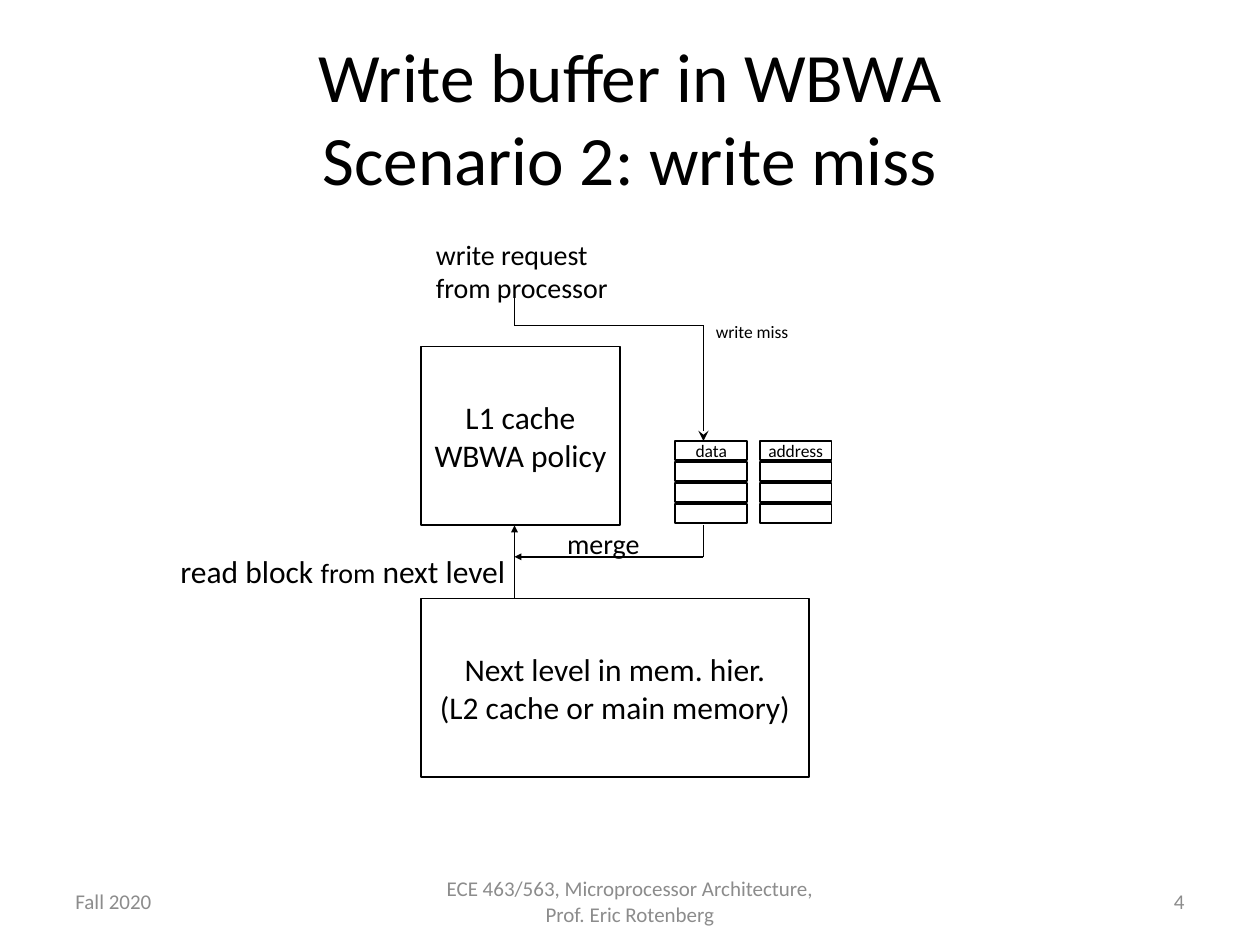
from dataclasses import dataclass

from lxml import etree
from pptx import Presentation
from pptx.dml.color import RGBColor
from pptx.enum.shapes import MSO_CONNECTOR, MSO_SHAPE
from pptx.enum.text import MSO_ANCHOR, PP_ALIGN
from pptx.oxml.ns import qn
from pptx.util import Pt

LEFT, CENTER, RIGHT = PP_ALIGN.LEFT, PP_ALIGN.CENTER, PP_ALIGN.RIGHT
TOP, MIDDLE = MSO_ANCHOR.TOP, MSO_ANCHOR.MIDDLE
RECT, STRAIGHT = MSO_SHAPE.RECTANGLE, MSO_CONNECTOR.STRAIGHT
TITLE_ONLY = 5


@dataclass(frozen=True)
class Theme:
    font: str = "Calibri"
    ink: RGBColor = RGBColor(0, 0, 0)
    paper: RGBColor = RGBColor(255, 255, 255)
    muted: RGBColor = RGBColor(0x8C, 0x8C, 0x8C)
    title: float = 39.6
    block: float = 18
    label: float = 16
    footer: float = 12
    small: float = 10
    line: float = 1


THEME = Theme()


def style(font, size, color=THEME.ink):
    font.name, font.size = THEME.font, Pt(size)
    font.color.rgb = color


def write(sp, lines, size, align=LEFT, anchor=TOP, wrap=False, color=THEME.ink):
    """Fill a shape with one paragraph for each line."""
    tf = sp.text_frame
    tf.word_wrap, tf.vertical_anchor = wrap, anchor
    tf.text = "\n".join(lines)
    for p in tf.paragraphs:
        p.alignment = align
        style(p.font, size, color)


def add_text(s, box, text, size, **options):
    sp = s.shapes.add_textbox(*map(Pt, box))
    write(sp, [text], size, **options)
    return sp


def add_block(s, box, lines=(), size=THEME.block):
    sp = s.shapes.add_shape(RECT, *map(Pt, box))
    sp.shadow.inherit = False
    sp.fill.solid()
    sp.fill.fore_color.rgb = THEME.paper
    sp.line.color.rgb, sp.line.width = THEME.ink, Pt(THEME.line)
    if lines:
        write(sp, lines, size, CENTER, MIDDLE)


def add_path(s, points, head, size):
    """Join the points with straight lines; the last one bears an arrowhead."""
    for start, end in zip(points, points[1:]):
        cx = s.shapes.add_connector(STRAIGHT, *map(Pt, start + end))
        cx.line.color.rgb, cx.line.width = THEME.ink, Pt(THEME.line)
        etree.SubElement(cx._element.spPr, qn("a:effectLst"))
    etree.SubElement(cx.line._get_or_add_ln(), qn("a:tailEnd"),
                     type=head, w=size, len=size)


def add_title(s, box, text):
    sp = s.shapes.title
    sp.left, sp.top, sp.width, sp.height = map(Pt, box)
    write(sp, [text], THEME.title, CENTER, MIDDLE, wrap=True)


def add_footer(s, box, date, course, number):
    x, y, w, h = box
    side, middle = 168, 228
    for left, width, text, align in (
            (x, side, date, LEFT),
            (x + (w - middle) / 2, middle, course, CENTER),
            (x + w - side, side, number, RIGHT)):
        add_text(s, (left, y, width, h), text, THEME.footer, align=align,
                 anchor=MIDDLE, wrap=True, color=THEME.muted)


def add_write_buffer(s, box, headers, rows=4, gap=7.3, row_gap=1.2):
    x, y, w, h = box
    cell_w = (w - gap * (len(headers) - 1)) / len(headers)
    cell_h = (h - row_gap * (rows - 1)) / rows
    for col, header in enumerate(headers):
        for row in range(rows):
            add_block(s, (x + col * (cell_w + gap), y + row * (cell_h + row_gap),
                          cell_w, cell_h), [] if row else [header], THEME.small)


def add_cache_diagram(s, box):
    x, y, w, h = box
    block_x, block_h = x + 144.5, 102.2
    l1_y, next_y = y + 66, y + h - block_h
    l1_bottom = l1_y + block_h
    buffer_y = y + 120
    read_x, buffer_x = x + 198, x + 306
    turn_y, merge_y = y + 54, l1_bottom + 18

    add_block(s, (block_x, l1_y, 113.8, block_h), ["L1 cache", "WBWA policy"])
    add_block(s, (block_x, next_y, 221.8, block_h),
              ["Next level in mem. hier.", "(L2 cache or main memory)"])
    add_write_buffer(s, (x + w - 89.3, buffer_y, 89.3, 46.8), ["data", "address"])

    add_path(s, [(read_x, y + 36), (read_x, turn_y), (buffer_x, turn_y),
                 (buffer_x, buffer_y)], "stealth", "med")
    add_path(s, [(read_x, next_y), (read_x, l1_bottom)], "triangle", "sm")
    add_path(s, [(buffer_x, l1_bottom), (buffer_x, merge_y), (read_x, merge_y)],
             "triangle", "sm")

    add_text(s, (x + 146, y, 114.5, 46), "write request\vfrom processor", THEME.label)
    add_text(s, (x + 306, y + 48, 63.4, 19.4), "write miss", THEME.small)
    add_text(s, (x + 221, y + 165.4, 56.2, 26.6), "merge", THEME.label)
    sp = add_text(s, (x, y + 180, 202.3, 28.8), "read block ", THEME.block)
    p = sp.text_frame.paragraphs[0]
    for text, size in (("from", THEME.label), (" next level", THEME.block)):
        r = p.add_run()
        r.text = text
        style(r.font, size)


def main():
    prs = Presentation()
    prs.slide_width, prs.slide_height = Pt(720), Pt(540)
    s = prs.slides.add_slide(prs.slide_layouts[TITLE_ONLY])
    add_title(s, (36, 21.6, 648, 90), "Write buffer in WBWA\vScenario 2: write miss")
    add_cache_diagram(s, (96, 132, 379.2, 312.2))
    add_footer(s, (36, 500.5, 648, 28.8), "Fall 2020",
               "ECE 463/563, Microprocessor Architecture, Prof. Eric Rotenberg", "4")
    prs.save("out.pptx")


if __name__ == "__main__":
    main()
